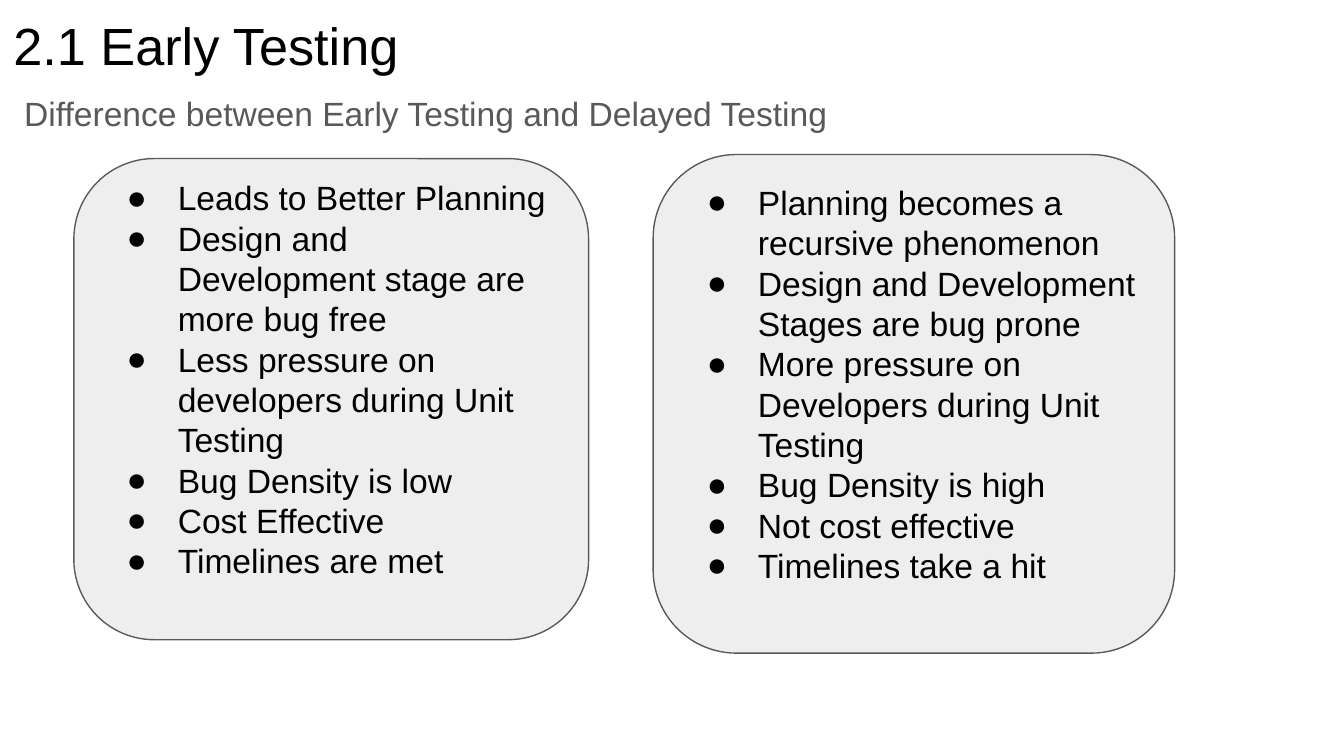
from dataclasses import dataclass

from lxml import etree
from pptx import Presentation
from pptx.dml.color import RGBColor
from pptx.enum.shapes import MSO_SHAPE
from pptx.enum.text import MSO_ANCHOR, MSO_AUTO_SIZE, PP_ALIGN
from pptx.oxml.ns import qn
from pptx.util import Inches, Pt

ROUNDED = MSO_SHAPE.ROUNDED_RECTANGLE
TOP = MSO_ANCHOR.TOP
MIDDLE = MSO_ANCHOR.MIDDLE
LEFT = PP_ALIGN.LEFT
NO_AUTOFIT = MSO_AUTO_SIZE.NONE

BLACK = RGBColor(0x00, 0x00, 0x00)
GRAY = RGBColor(0x59, 0x59, 0x59)
PALE_GRAY = RGBColor(0xEE, 0xEE, 0xEE)

FONT = "Arial"
SLIDE_WIDTH = 10
SLIDE_HEIGHT = SLIDE_WIDTH * 9 / 16
MARGIN = 0.1
LAST_LINE = 0.3


@dataclass(frozen=True)
class Box:
    left: float
    top: float
    width: float
    height: float


@dataclass(frozen=True)
class Panel:
    box: Box
    points: tuple[str, ...]


PANELS = (
    Panel(Box(0.55, 1.18, 3.83, 3.58), (
        "Leads to Better Planning",
        "Design and Development stage are more bug free",
        "Less pressure on developers during Unit Testing",
        "Bug Density is low",
        "Cost Effective",
        "Timelines are met",
    )),
    Panel(Box(4.86, 1.15, 3.88, 3.71), (
        "Planning becomes a recursive phenomenon",
        "Design and Development Stages are bug prone",
        "More pressure on Developers during Unit Testing",
        "Bug Density is high",
        "Not cost effective",
        "Timelines take a hit",
    )),
)


def place(shape, box: Box) -> None:
    shape.left, shape.top = Inches(box.left), Inches(box.top)
    shape.width, shape.height = Inches(box.width), Inches(box.height)


def set_bullet(paragraph, bullet: str, color: RGBColor) -> None:
    properties = paragraph._p.get_or_add_pPr()
    properties.set("marL", str(Inches(0.5) if bullet else 0))
    properties.set("indent", str(Inches(-0.38) if bullet else 0))
    if not bullet:
        etree.SubElement(properties, qn("a:buNone"))
        return
    bullet_color = etree.SubElement(properties, qn("a:buClr"))
    etree.SubElement(bullet_color, qn("a:srgbClr")).set("val", str(color))
    etree.SubElement(properties, qn("a:buFont")).set("typeface", FONT)
    etree.SubElement(properties, qn("a:buChar")).set("char", bullet)


def write(shape, *lines: str, size: float = 18, color: RGBColor = BLACK,
          anchor: MSO_ANCHOR = TOP, bullet: str = "", line_spacing: float = 1.0,
          space_after: float = 0, bottom: float = MARGIN) -> None:
    frame = shape.text_frame
    frame.word_wrap = True
    frame.auto_size = NO_AUTOFIT
    frame.vertical_anchor = anchor
    frame.margin_left = frame.margin_right = frame.margin_top = Inches(MARGIN)
    frame.margin_bottom = Inches(bottom)
    frame.text = "\n".join(lines)
    for paragraph in frame.paragraphs:
        paragraph.alignment = LEFT
        paragraph.line_spacing = line_spacing
        paragraph.space_before = Pt(0)
        paragraph.space_after = Pt(space_after)
        set_bullet(paragraph, bullet, color)
        for run in paragraph.runs:
            run.font.name = FONT
            run.font.size = Pt(size)
            run.font.color.rgb = color


def draw_panel(slide, panel: Panel) -> None:
    card = slide.shapes.add_shape(ROUNDED, 0, 0, 0, 0)
    place(card, panel.box)
    card.adjustments[0] = 0.167
    card.shadow.inherit = False
    card.fill.solid()
    card.fill.fore_color.rgb = PALE_GRAY
    card.line.color.rgb = GRAY
    card.line.width = Pt(0.75)
    write(card, *panel.points, anchor=MIDDLE, bullet="●", bottom=MARGIN + LAST_LINE)


def main() -> None:
    deck = Presentation()
    deck.slide_width, deck.slide_height = Inches(SLIDE_WIDTH), Inches(SLIDE_HEIGHT)
    slide = deck.slides.add_slide(deck.slide_layouts[1])

    heading = slide.shapes.title
    place(heading, Box(0, 0, 9.32, 0.63))
    write(heading, "2.1 Early Testing", size=28)

    subtitle = slide.placeholders[1]
    place(subtitle, Box(0.08, 0.55, 9.32, 3.92))
    write(subtitle, "Difference between Early Testing and Delayed Testing",
          color=GRAY, line_spacing=1.15, space_after=16)

    for panel in PANELS:
        draw_panel(slide, panel)

    deck.save("out.pptx")


if __name__ == "__main__":
    main()
